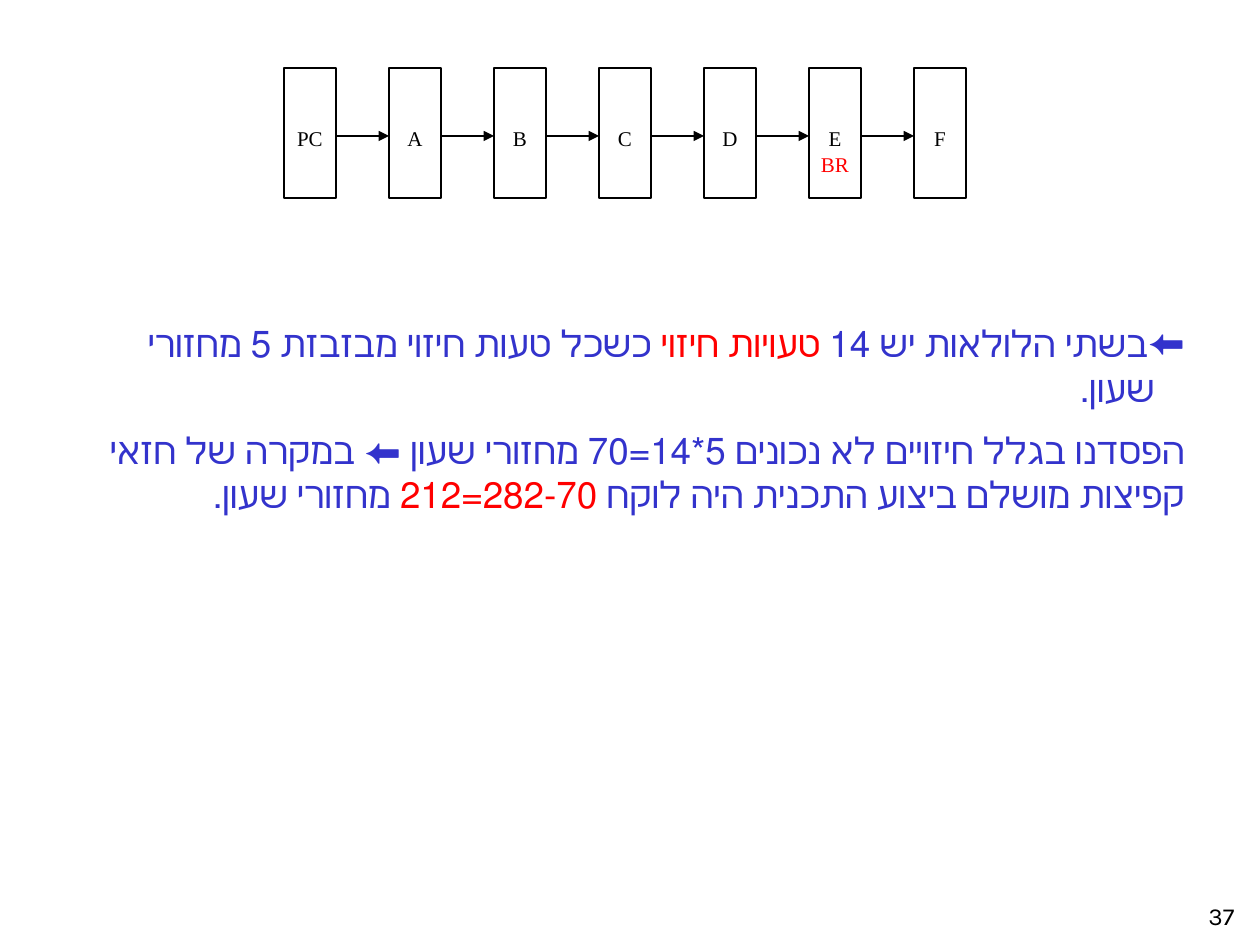
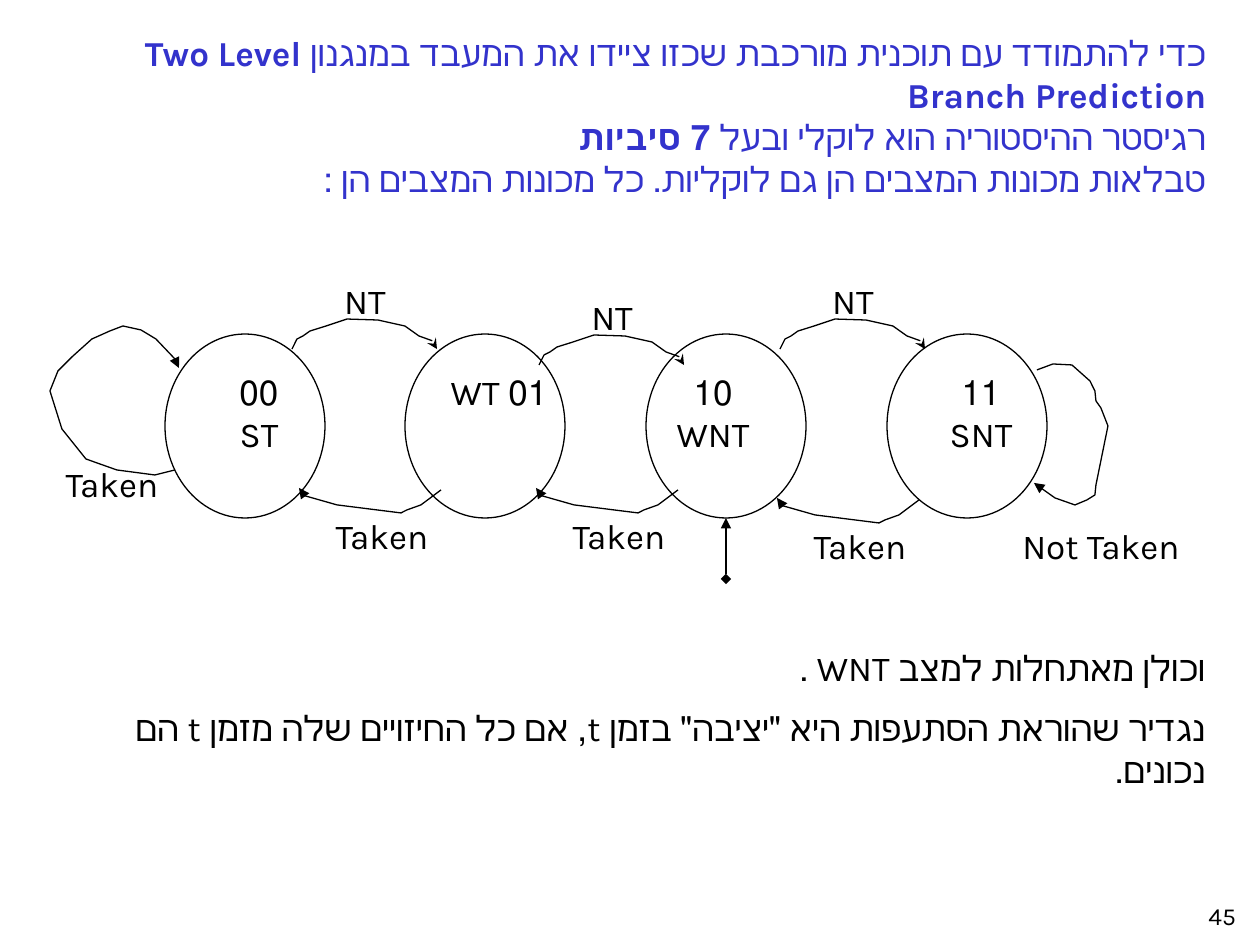
from dataclasses import dataclass
from lxml.etree import SubElement
from pptx import Presentation
from pptx.dml.color import RGBColor
from pptx.enum.shapes import MSO_CONNECTOR, MSO_SHAPE
from pptx.enum.text import MSO_ANCHOR, PP_ALIGN
from pptx.oxml.ns import qn
from pptx.util import Emu, Inches, Pt

SCALE = 914400 / 126


@dataclass(frozen=True)
class Theme:
    """Colours, fonts and sizes of the deck."""
    ink: RGBColor = RGBColor(0, 0, 0)
    blue: RGBColor = RGBColor(0x33, 0x33, 0xCC)
    red: RGBColor = RGBColor(0xFF, 0, 0)
    paper: RGBColor = RGBColor(0xFF, 0xFF, 0xFF)
    font: str = "Karla"
    serif: str = "Times New Roman"
    body: float = 20
    lead: float = 21
    stage: float = 12
    page: float = 14
    gap: float = 10.5
    line: float = 0.75


THEME = Theme()

STATES = [("00 ST", 27, 30), ("01 WT", 27, 12), ("10 WNT", 0, 13),
          ("11 SNT", 27, 20)]
RISE = [(0, 0), (5, -10), (11, -13), (18, -18), (34, -23), (55, -30),
        (86, -29), (113, -23), (127, -13), (141, -8), (145, 0)]
DIP = [(0, 0), (-20, 15), (-34, 20), (-40, 23), (-104, 15), (-139, 5),
       (-142, -2)]
LEFT = [(175, 470), (155, 475), (117, 470), (100, 464), (86, 459), (62, 429),
        (50, 391), (58, 371), (72, 357), (92, 339), (110, 331), (123, 326),
        (141, 330), (156, 339), (175, 359), (179, 368)]
RIGHT = [(1037, 370), (1053, 364), (1072, 365), (1090, 381), (1095, 391),
         (1096, 401), (1101, 408), (1108, 426), (1096, 485), (1095, 495),
         (1087, 500), (1075, 505), (1055, 498), (1048, 493), (1034, 483)]


def px(*nums):
    """Turn pixels into EMU."""
    return [Emu(round(num * SCALE)) for num in nums]


def write(frame, paras, size, ink=THEME.ink, font=THEME.font,
          align=PP_ALIGN.CENTER, rtl=False, gap=0):
    """Fill a frame with paragraphs, each a tuple of runs."""
    frame.word_wrap = True
    for num, parts in enumerate(paras):
        para = frame.add_paragraph() if num else frame.paragraphs[0]
        para.text = parts[0]
        for part in parts[1:]:
            para.add_run().text = part
        para.alignment = align
        if rtl:
            para._p.get_or_add_pPr().set("rtl", "1")
        if num and gap:
            para.space_before = Pt(gap)
        for run in para.runs:
            run.font.name, run.font.size = font, Pt(size)
            run.font.color.rgb = ink


def label(slide, box, paras, size=THEME.body, **look):
    """Add a text box and return its frame."""
    frame = slide.shapes.add_textbox(*px(*box)).text_frame
    write(frame, paras, size, **look)
    return frame


def hebrew(slide, box, paras, size=THEME.body, **look):
    """Add a right-to-left text box."""
    return label(slide, box, paras, size, align=PP_ALIGN.RIGHT, rtl=True,
                 **look)


def page(slide, num):
    """Add the page number."""
    label(slide, (1196, 895, 63, 43), [(num,)], THEME.page,
          align=PP_ALIGN.LEFT)


def bullet(para, mark, indent):
    """Give a paragraph a hanging bullet."""
    props = para._p.get_or_add_pPr()
    width = px(indent)[0]
    props.set("marL", str(width))
    props.set("indent", str(-width))
    SubElement(props, qn("a:buFont")).set("typeface", THEME.font)
    SubElement(props, qn("a:buChar")).set("char", mark)


def stroke(shape):
    """Draw the thin black line."""
    shape.line.color.rgb = THEME.ink
    shape.line.width = Pt(THEME.line)


def ends(shape, tail, head=None):
    """Put arrowheads on a line."""
    line = shape.element.spPr.find(qn("a:ln"))
    for tag, kind in (("a:headEnd", head), ("a:tailEnd", tail)):
        if kind:
            SubElement(line, qn(tag)).set("type", kind)


def block(slide, kind, box, fill=None, edge=True):
    """Add a flat preset shape."""
    shape = slide.shapes.add_shape(kind, *px(*box))
    shape.shadow.inherit = False
    if fill is None:
        shape.fill.background()
    else:
        shape.fill.solid()
        shape.fill.fore_color.rgb = fill
    if edge:
        stroke(shape)
    else:
        shape.line.fill.background()
    return shape


def arrow(slide, start, end, head=None):
    """Add a straight arrow."""
    link = slide.shapes.add_connector(MSO_CONNECTOR.STRAIGHT,
                                      *px(*start, *end))
    stroke(link)
    ends(link, "triangle", head)
    SubElement(link.element.spPr, qn("a:effectLst"))


def curve(slide, points, tail="triangle", at=(0, 0)):
    """Add an open bent arrow through points, moved by at."""
    spots = [(x + at[0], y + at[1]) for x, y in points]
    build = slide.shapes.build_freeform(*spots[0], scale=SCALE)
    build.add_line_segments(spots[1:], close=False)
    shape = build.convert_to_shape()
    shape.shadow.inherit = False
    shape.fill.background()
    stroke(shape)
    ends(shape, tail)


def stage(slide, left, names):
    """Add one pipeline stage."""
    shape = block(slide, MSO_SHAPE.RECTANGLE, (left, 68, 52, 130),
                  THEME.paper)
    frame = shape.text_frame
    frame.vertical_anchor = MSO_ANCHOR.TOP
    frame.margin_left, frame.margin_right, frame.margin_top = px(3, 3, 58)
    write(frame, [(name,) for name in names], THEME.stage, font=THEME.serif)
    for para in frame.paragraphs[1:]:
        para.runs[0].font.color.rgb = THEME.red


def state(slide, left, text, shift, inset):
    """Add one state with its circle."""
    shape = block(slide, MSO_SHAPE.RECTANGLE, (left + shift, 364, 134, 122),
                  THEME.paper, edge=False)
    frame = shape.text_frame
    frame.vertical_anchor = MSO_ANCHOR.TOP
    frame.margin_left, frame.margin_right = px(inset, inset)
    write(frame, [(text,)], THEME.body, rtl=True)
    block(slide, MSO_SHAPE.OVAL, (left, 334, 160, 184))


def losses(slide):
    """Build the slide on wasted cycles."""
    page(slide, "37")
    frame = hebrew(slide, (65, 315, 1132, 169), [
        ("בשתי הלולאות יש 14", " טעויות חיזוי ",
         "כשכל טעות חיזוי מבזבזת 5 מחזורי שעון."),
        ("הפסדנו בגלל חיזויים לא נכונים 5*14=70 מחזורי שעון ⬅ במקרה של "
         "חזאי קפיצות מושלם ביצוע התכנית היה לוקח ",
         "282-70=212", " מחזורי שעון."),
    ], THEME.lead, ink=THEME.blue, gap=THEME.gap)
    for para in frame.paragraphs:
        para.runs[1].font.color.rgb = THEME.red
    bullet(frame.paragraphs[0], "⬅", 30)
    names = [["PC"], ["A"], ["B"], ["C"], ["D"], ["E", "BR"], ["F"]]
    for num, name in enumerate(names):
        left = 284 + 105 * num
        stage(slide, left, name)
        if num:
            arrow(slide, (left - 53, 136), (left, 136))


def machine(slide):
    """Build the slide on the state machine."""
    page(slide, "45")
    frame = hebrew(slide, (84, 24, 1135, 183), [
        ("כדי להתמודד עם תוכנית מורכבת שכזו ציידו את המעבד במנגנון ",
         "Two Level Branch Prediction"),
        ("רגיסטר ההיסטוריה הוא לוקלי ובעל ", "7 סיביות "),
        ("טבלאות מכונות המצבים הן גם לוקליות. כל מכונות המצבים הן :",),
    ], ink=THEME.blue)
    frame.vertical_anchor = MSO_ANCHOR.MIDDLE
    for para in frame.paragraphs[:2]:
        para.runs[1].font.bold = True
    for num, (text, shift, inset) in enumerate(STATES):
        state(slide, 165 + 722 * num // 3, text, shift, inset)
    for x, y in ((292, 349), (539, 365), (780, 349)):
        curve(slide, RISE, "stealth", (x, y))
        label(slide, (x + 6, y - 76, 134, 62), [("NT",)])
    for x, y in ((441, 490), (678, 490), (919, 500)):
        curve(slide, DIP, at=(x, y))
        label(slide, (x - 139, y + 18, 160, 62), [("Taken",)])
    curve(slide, LEFT)
    label(slide, (32, 456, 160, 62), [("Taken",)])
    curve(slide, RIGHT)
    label(slide, (994, 518, 214, 92), [("Not Taken",)])
    arrow(slide, (726, 579), (726, 518), "diamond")
    hebrew(slide, (84, 640, 1134, 161), [
        ("וכולן מאתחלות למצב WNT .",),
        ('נגדיר שהוראת הסתעפות היא "יציבה" בזמן t, אם כל החיזויים שלה '
         "מזמן t הם נכונים.",),
    ], gap=THEME.gap)


def main():
    """Build and save the deck."""
    deck = Presentation()
    deck.slide_width, deck.slide_height = Inches(10), Inches(7.5)
    for draw in (losses, machine):
        draw(deck.slides.add_slide(deck.slide_layouts[6]))
    deck.save("out.pptx")


main()
